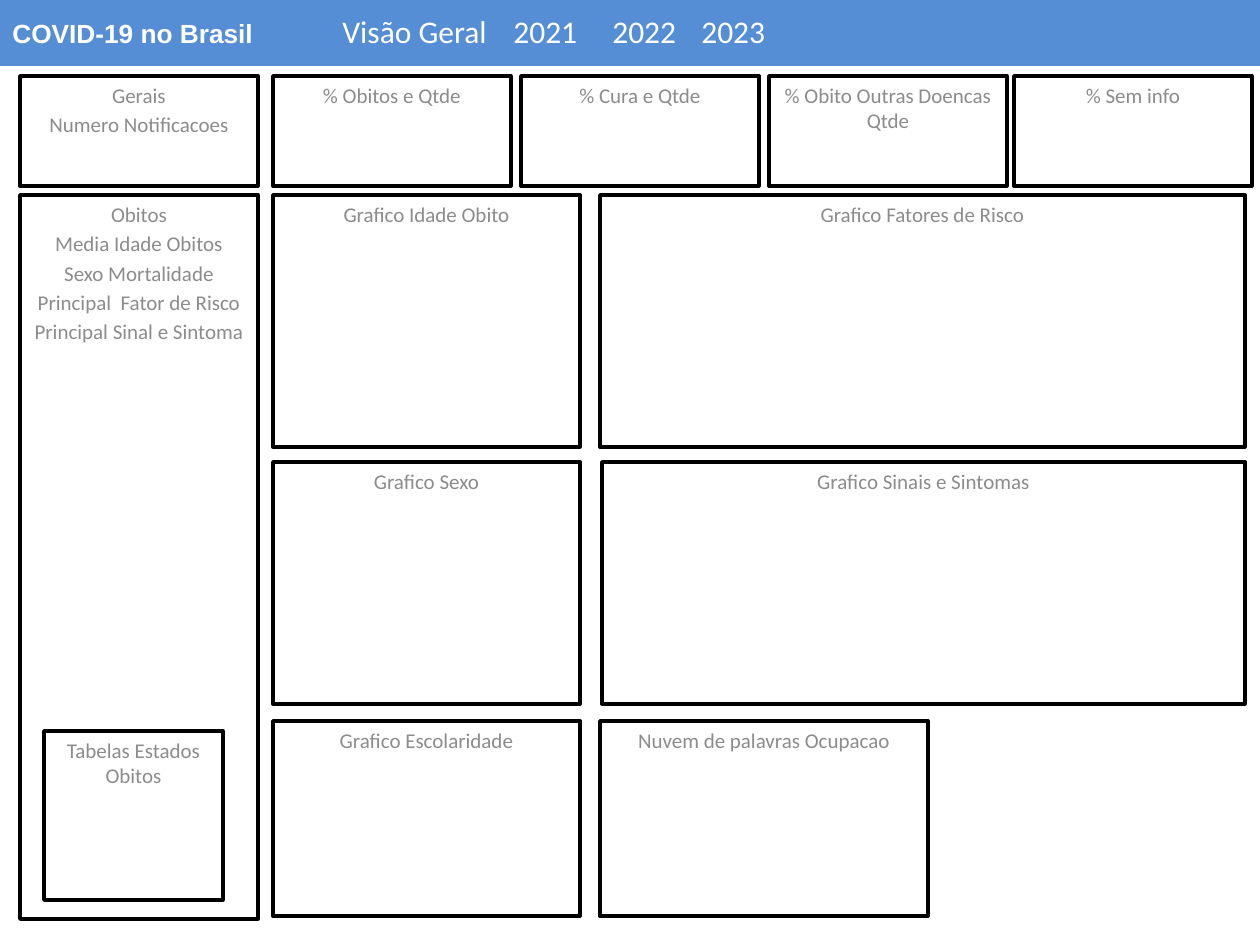
import pptx
import pptx.util
from pptx.dml.color import RGBColor
from pptx.enum.shapes import MSO_SHAPE
from pptx.enum.text import MSO_ANCHOR, MSO_AUTO_SIZE, PP_ALIGN

PX = pptx.util.Inches(1) / 126
WHITE = RGBColor(0xFF, 0xFF, 0xFF)
BLACK = RGBColor(0x00, 0x00, 0x00)
GRAY = RGBColor(0x8C, 0x8C, 0x8C)
BLUE = RGBColor(0x55, 0x8E, 0xD5)

PANEL_FONT = {"name": "Calibri", "size": pptx.util.Pt(12), "bold": False}
TAB_FONT = {"name": "Calibri", "size": pptx.util.Pt(18), "bold": False}
TITLE_FONT = {"name": "Arial", "size": pptx.util.Pt(15), "bold": True}

SIDE, LEFT, RIGHT = 20, 273, 600
CARD_TOP, CARD_WIDTH, CARD_HEIGHT = 76, 238, 110
CHART_WIDTH = 307
ROW_1, ROW_2, ROW_3 = (195, 252), (462, 242), (721, 195)

CARDS = [
    (SIDE, ["Gerais", "Numero Notificacoes"]),
    (LEFT, ["% Obitos e Qtde"]),
    (521, ["% Cura e Qtde"]),
    (769, ["% Obito Outras Doencas Qtde"]),
    (1014, ["% Sem info"]),
]
DEATHS = [
    "Obitos",
    "Media Idade Obitos",
    "Sexo Mortalidade",
    "Principal  Fator de Risco",
    "Principal Sinal e Sintoma",
]
CHARTS = [
    (LEFT, CHART_WIDTH, ROW_1, "Grafico Idade Obito"),
    (RIGHT, 645, ROW_1, "Grafico Fatores de Risco"),
    (LEFT, CHART_WIDTH, ROW_2, "Grafico Sexo"),
    (602, 643, ROW_2, "Grafico Sinais e Sintomas"),
    (LEFT, CHART_WIDTH, ROW_3, "Grafico Escolaridade"),
    (RIGHT, 328, ROW_3, "Nuvem de palavras Ocupacao"),
]
TABS = [
    (330, 171, "Visão Geral"),
    (501, 89, "2021"),
    (600, 89, "2022"),
    (689, 89, "2023"),
]


def px(*lengths):
    return [round(length * PX) for length in lengths]


def write(box, lines, font, color, align):
    frame = box.text_frame
    for index, line in enumerate(lines):
        para = frame.add_paragraph() if index else frame.paragraphs[0]
        para.alignment = align
        if index:
            para.space_before = pptx.util.Pt(2.4)
        span = para.add_run()
        span.text = line
        for key, value in font.items():
            setattr(span.font, key, value)
        span.font.color.rgb = color


def add_rectangle(page, place, fill):
    box = page.shapes.add_shape(MSO_SHAPE.RECTANGLE, *px(*place))
    box.shadow.inherit = False
    box.fill.solid()
    box.fill.fore_color.rgb = fill
    box.text_frame.word_wrap = True
    return box


def add_panel(page, place, lines):
    box = add_rectangle(page, place, WHITE)
    box.line.color.rgb = BLACK
    box.line.width = pptx.util.Pt(2)
    box.text_frame.vertical_anchor = MSO_ANCHOR.TOP
    write(box, lines, PANEL_FONT, GRAY, PP_ALIGN.CENTER)


def add_title(page, text):
    box = add_rectangle(page, (0, 0, 1260, 66), BLUE)
    box.line.fill.background()
    box.text_frame.vertical_anchor = MSO_ANCHOR.MIDDLE
    write(box, [text], TITLE_FONT, WHITE, PP_ALIGN.LEFT)


def add_tab(page, left, width, text):
    box = page.shapes.add_textbox(*px(left, 6, width, 50))
    box.text_frame.word_wrap = False
    box.text_frame.auto_size = MSO_AUTO_SIZE.SHAPE_TO_FIT_TEXT
    write(box, [text], TAB_FONT, WHITE, PP_ALIGN.LEFT)


def main():
    deck = pptx.Presentation()
    deck.slide_width, deck.slide_height = px(1260, 945)
    page = deck.slides.add_slide(deck.slide_layouts[6])

    add_title(page, "COVID-19 no Brasil")
    for left, width, text in TABS:
        add_tab(page, left, width, text)
    for left, lines in CARDS:
        add_panel(page, (left, CARD_TOP, CARD_WIDTH, CARD_HEIGHT), lines)
    add_panel(page, (SIDE, ROW_1[0], CARD_WIDTH, 724), DEATHS)
    add_panel(page, (44, 731, 179, 169), ["Tabelas Estados Obitos"])
    for left, width, (top, height), text in CHARTS:
        add_panel(page, (left, top, width, height), [text])

    deck.save("out.pptx")


if __name__ == "__main__":
    main()
